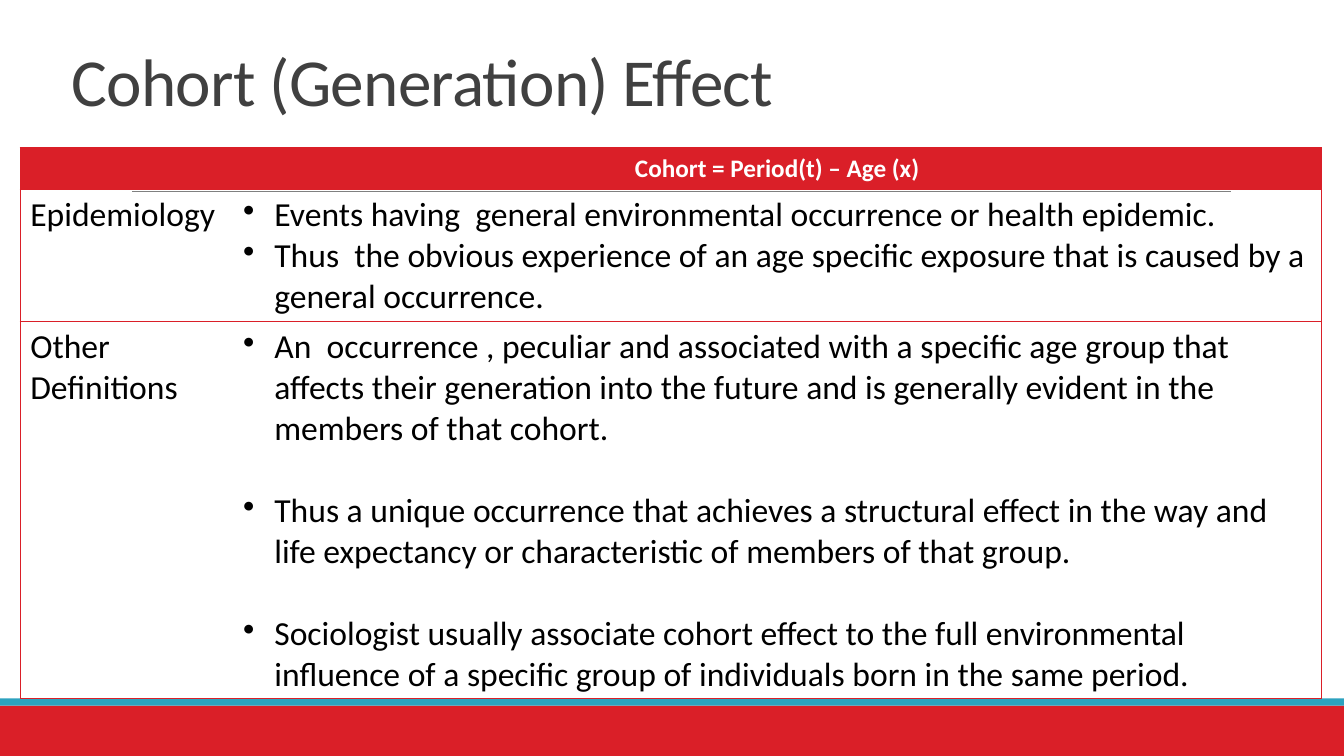
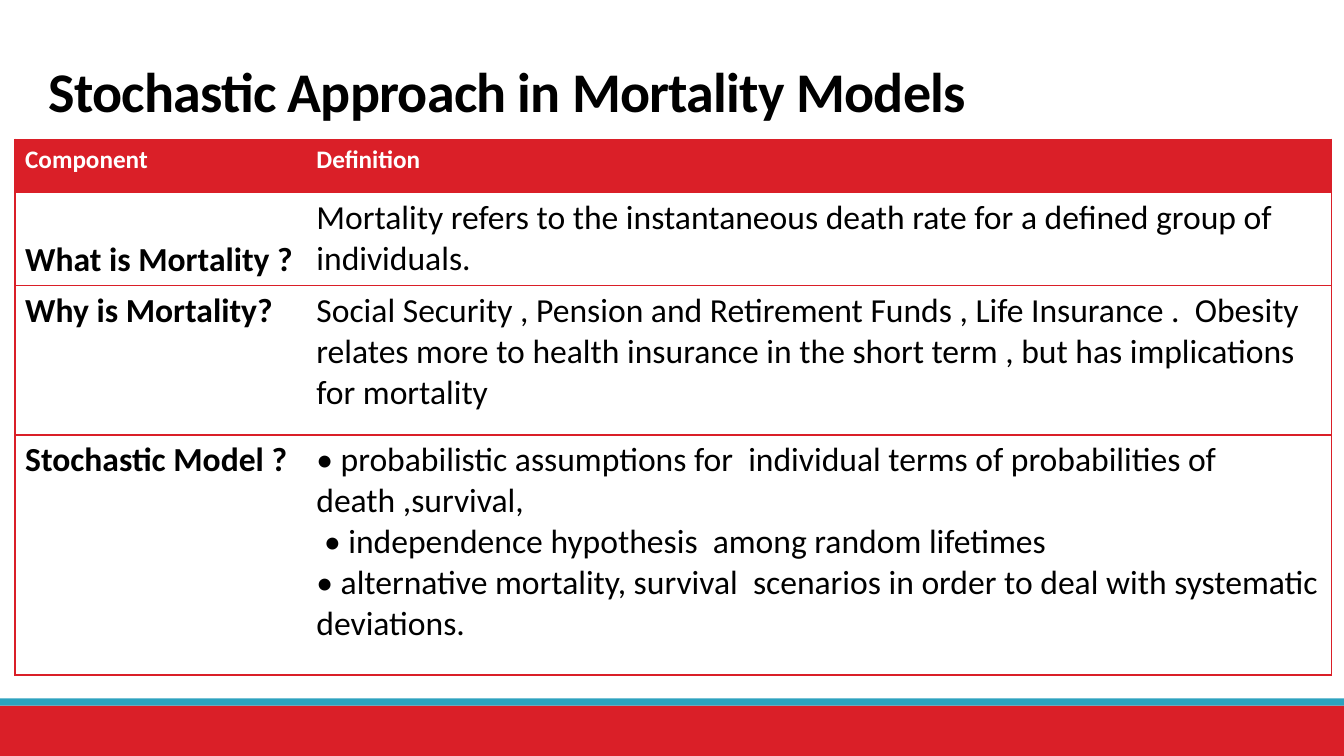
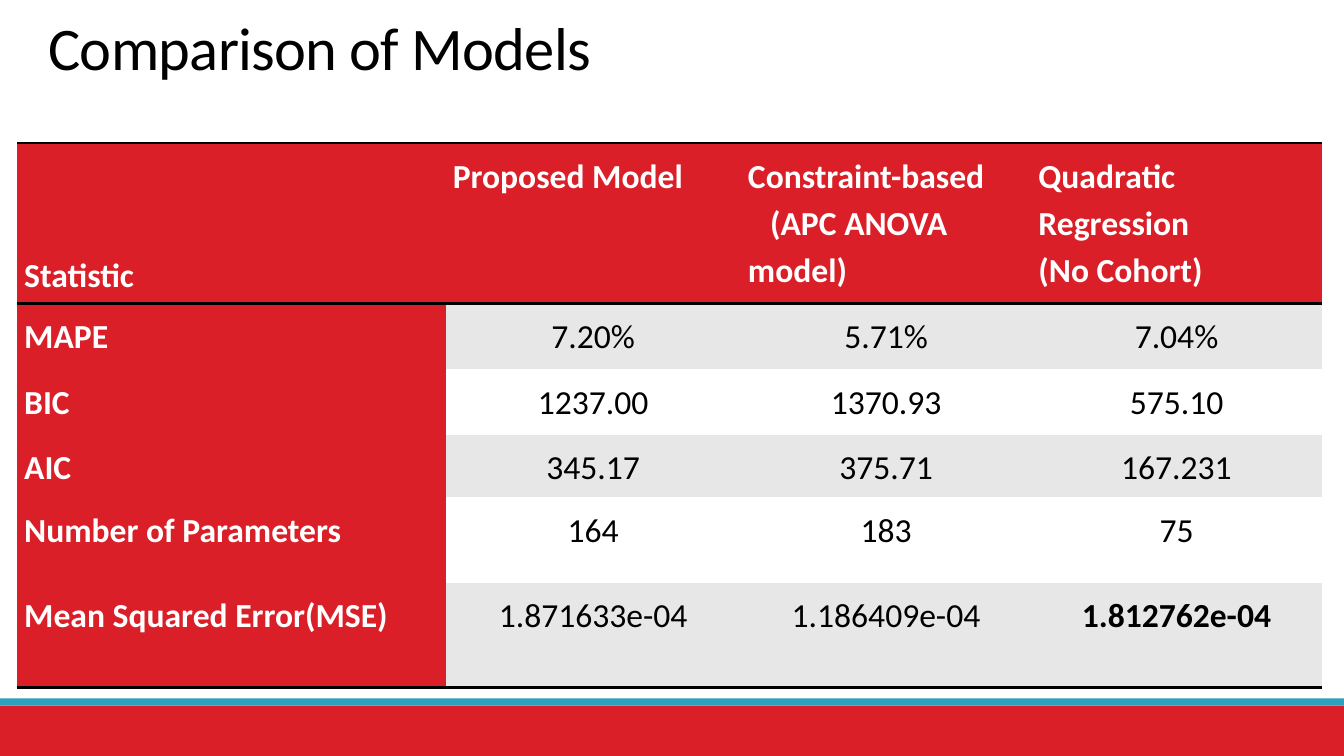
"""Builds three slides on cohort effects and mortality models."""
from lxml.etree import SubElement
from pptx import Presentation
from pptx.dml.color import RGBColor
from pptx.enum.shapes import MSO_CONNECTOR, MSO_SHAPE
from pptx.enum.text import MSO_ANCHOR, PP_ALIGN
from pptx.oxml.ns import qn
from pptx.util import Cm, Pt

RED = RGBColor(0xDA, 0x1F, 0x28)
TEAL = RGBColor(0x2D, 0xA2, 0xBF)
GRAY = RGBColor(0x80, 0x80, 0x80)
CHARCOAL = RGBColor(0x40, 0x40, 0x40)
PALE = RGBColor(0xE7, 0xE7, 0xE7)
WHITE = RGBColor(0xFF, 0xFF, 0xFF)
BLACK = RGBColor(0, 0, 0)
FONT = "Calibri"
WIDTH, HEIGHT = Cm(33.87), Cm(19.05)
HANGING = Cm(0.79)
BLANK_LINE = Pt(29.3)


class Deck:
    """Holds the presentation, its style and the current slide."""

    def __init__(self):
        self.presentation = Presentation()
        self.presentation.slide_width = WIDTH
        self.presentation.slide_height = HEIGHT
        self.slide = None

    def add_slide(self):
        layout = self.presentation.slide_layouts[6]
        self.slide = self.presentation.slides.add_slide(layout)
        self.band(17.78, 1.27, RED)
        self.band(17.6, 0.18, TEAL)
        self.rule(3.33, 31.01, 4.83)

    def band(self, top, height, color):
        band = self.slide.shapes.add_shape(
            MSO_SHAPE.RECTANGLE, 0, Cm(top), WIDTH, Cm(height))
        band.shadow.inherit = False
        band.fill.solid()
        band.fill.fore_color.rgb = color
        band.line.fill.background()

    def rule(self, start, end, y):
        rule = self.slide.shapes.add_connector(
            MSO_CONNECTOR.STRAIGHT, Cm(start), Cm(y), Cm(end), Cm(y))
        rule.line.color.rgb = GRAY
        rule.line.width = Pt(0.5)
        SubElement(rule._element.spPr, qn("a:effectLst"))

    def title(self, text, left, top, width, height, size, color=BLACK, bold=False):
        box = self.slide.shapes.add_textbox(Cm(left), Cm(top), Cm(width), Cm(height))
        frame = box.text_frame
        frame.word_wrap = True
        frame.vertical_anchor = MSO_ANCHOR.BOTTOM
        self.put_text(frame, [text], size, color, bold, spacing=0.85)
        properties = frame.paragraphs[0]._p.get_or_add_pPr()
        properties.find(qn("a:defRPr")).set("spc", "-50")

    def put_text(self, frame, lines, size=24, color=BLACK, bold=False,
                 align=PP_ALIGN.LEFT, spacing=1.0, gap=0, bullet=False):
        for index, line in enumerate(lines):
            paragraph = frame.add_paragraph() if index else frame.paragraphs[0]
            paragraph.text = line
            if bullet:
                properties = paragraph._p.get_or_add_pPr()
                properties.set("marL", str(HANGING))
                properties.set("indent", str(-HANGING))
                SubElement(properties, qn("a:buChar"), char="•")
            paragraph.alignment = align
            paragraph.line_spacing = spacing
            if index and gap:
                paragraph.space_before = gap
            font = paragraph.font
            font.name, font.size, font.bold = FONT, Pt(size), bold
            font.color.rgb = color

    def table(self, left, top, columns, rows):
        table = self.slide.shapes.add_table(
            len(rows), len(columns), Cm(left), Cm(top),
            Cm(sum(columns)), Cm(sum(rows))).table
        table.first_row = table.horz_banding = False
        for column, width in zip(table.columns, columns):
            column.width = Cm(width)
        for row, height in zip(table.rows, rows):
            row.height = Cm(height)
        return table

    def paint(self, cell, fill, sides, color, width):
        properties = cell._tc.get_or_add_tcPr()
        for side in "LRTB":
            edge = SubElement(properties, qn("a:ln" + side), w=str(Pt(width)))
            if side in sides:
                solid = SubElement(edge, qn("a:solidFill"))
                SubElement(solid, qn("a:srgbClr"), val=str(color))
            else:
                SubElement(edge, qn("a:noFill"))
        if fill is None:
            cell.fill.background()
        else:
            cell.fill.solid()
            cell.fill.fore_color.rgb = fill

    def definition_table(self, left, top, columns, rows):
        table = self.table(left, top, columns, rows)
        for row in range(len(rows)):
            for column, side in enumerate("LR"):
                self.paint(table.cell(row, column), None if row else RED,
                           side + "TB", RED, 1)
        return table


def cohort_effect(deck):
    deck.add_slide()
    deck.title("Cohort (Generation) Effect", 1.55, 0.79, 22.4, 2.36, 48, CHARCOAL)
    definitions = [
        ("Epidemiology", 0, [
            "Events having  general environmental occurrence or health epidemic.",
            "Thus  the obvious experience of an age specific exposure that is "
            "caused by a general occurrence."]),
        ("Other Definitions", BLANK_LINE, [
            "An  occurrence , peculiar and associated with a specific age group "
            "that affects their generation into the future and is generally "
            "evident in the members of that cohort.",
            "Thus a unique occurrence that achieves a structural effect in the "
            "way and life expectancy or characteristic of members of that group.",
            "Sociologist usually associate cohort effect to the full "
            "environmental influence of a specific group of individuals born in "
            "the same period."]),
    ]
    table = deck.definition_table(0.51, 3.73, [5.36, 27.43], [1.04, 3.33, 9.5])
    deck.put_text(table.cell(0, 1).text_frame, ["Cohort = Period(t) – Age (x)"],
                  18, WHITE, True, PP_ALIGN.CENTER)
    for row, (field, gap, points) in enumerate(definitions, 1):
        deck.put_text(table.cell(row, 0).text_frame, [field])
        deck.put_text(table.cell(row, 1).text_frame, points, gap=gap, bullet=True)


def stochastic_approach(deck):
    deck.add_slide()
    deck.title("Stochastic Approach in Mortality Models",
               0.97, 0.79, 27.94, 2.46, 40, bold=True)
    components = [
        ("What is Mortality ?", [
            "Mortality refers to the instantaneous death rate for a defined "
            "group of individuals."]),
        ("Why is Mortality?", [
            "Social Security , Pension and Retirement Funds , Life Insurance .  "
            "Obesity relates more to health insurance in the short term , but "
            "has implications for mortality"]),
        ("Stochastic Model ?", [
            "• probabilistic assumptions for  individual terms of probabilities "
            "of death ,survival,",
            " • independence hypothesis  among random lifetimes",
            "• alternative mortality, survival  scenarios in order to deal with "
            "systematic deviations."]),
    ]
    table = deck.definition_table(0.38, 3.51, [7.34, 25.83], [1.35, 2.34, 3.76, 6.05])
    for column, heading in enumerate(["Component", "Definition"]):
        deck.put_text(table.cell(0, column).text_frame, [heading], 18, WHITE, True)
    for row, (component, definition) in enumerate(components, 1):
        deck.put_text(table.cell(row, 0).text_frame, [component], bold=True)
        deck.put_text(table.cell(row, 1).text_frame, definition)
    table.cell(1, 0).vertical_anchor = MSO_ANCHOR.BOTTOM


def model_comparison(deck):
    deck.add_slide()
    deck.title("Comparison of Models", 0.97, 0.66, 27.94, 1.55, 43.2)
    statistics = [
        (["Statistic"], ["Proposed Model"],
         ["Constraint-based", "(APC ANOVA model)"],
         ["Quadratic Regression", "(No Cohort)"]),
        (["MAPE"], ["7.20%"], ["5.71%"], ["7.04%"]),
        (["BIC"], ["1237.00"], ["1370.93"], ["575.10"]),
        (["AIC"], ["345.17"], ["375.71"], ["167.231"]),
        (["Number of Parameters"], ["164"], ["183"], ["75"]),
        (["Mean Squared Error(MSE)"],
         ["1.871633e-04"], ["1.186409e-04"], ["1.812762e-04"]),
    ]
    table = deck.table(0.43, 3.61, [10.8, 7.44, 7.32, 7.32],
                       [4.04, 1.65, 1.65, 1.57, 2.16, 2.64])
    last = len(statistics) - 1
    edges = {0: "TB", 1: "T", last: "B"}
    for row, entries in enumerate(statistics):
        for column, lines in enumerate(entries):
            cell = table.cell(row, column)
            heading = row == 0 or column == 0
            fill = RED if heading else PALE if row % 2 else WHITE
            deck.paint(cell, fill, edges.get(row, ""), BLACK, 2)
            cell.margin_left = cell.margin_right = Cm(0.18)
            cell.margin_top = cell.margin_bottom = Cm(0.18)
            deck.put_text(cell.text_frame, lines,
                          color=WHITE if heading else BLACK,
                          bold=heading or (row, column) == (last, 3),
                          align=PP_ALIGN.LEFT if heading else PP_ALIGN.CENTER,
                          spacing=1.15)
    table.cell(0, 0).vertical_anchor = MSO_ANCHOR.BOTTOM
    anova = table.cell(0, 2).text_frame.paragraphs[1]
    anova._p.get_or_add_pPr().set("indent", str(Cm(0.56)))


def main():
    deck = Deck()
    cohort_effect(deck)
    stochastic_approach(deck)
    model_comparison(deck)
    deck.presentation.save("out.pptx")


if __name__ == "__main__":
    main()
